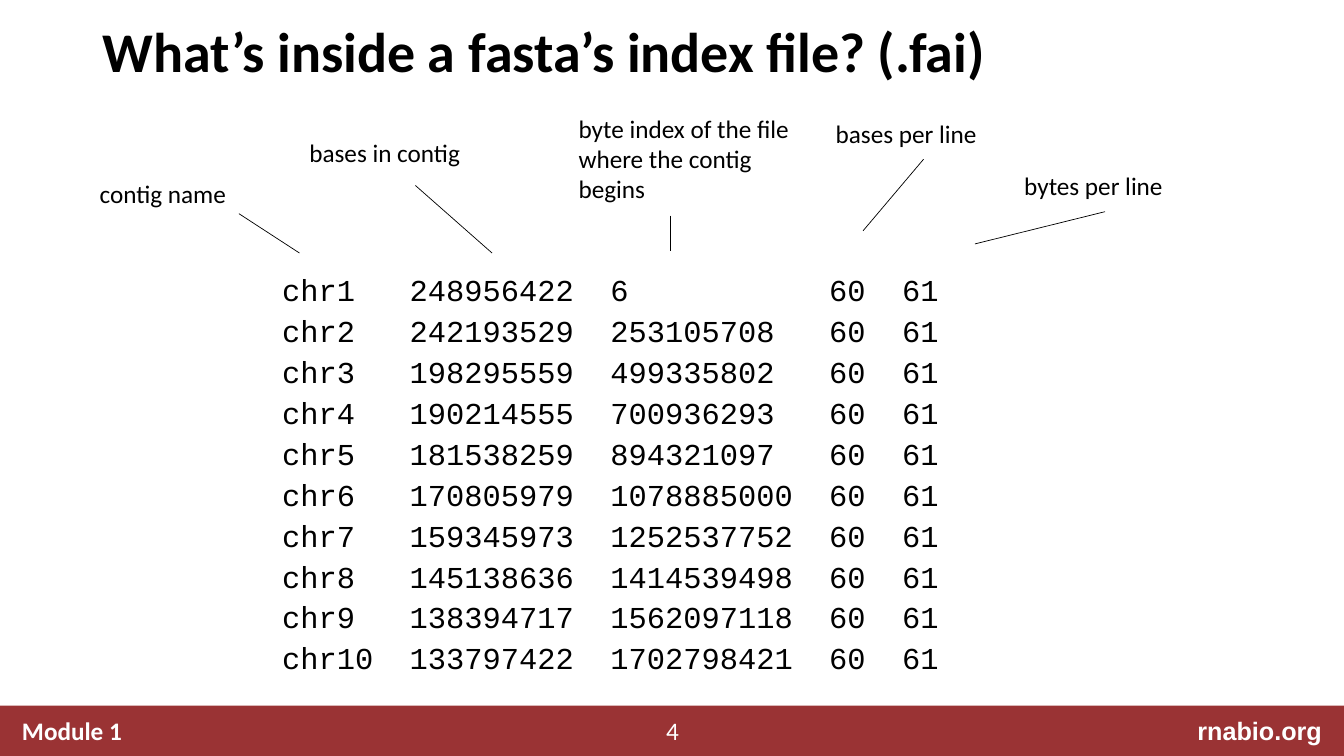
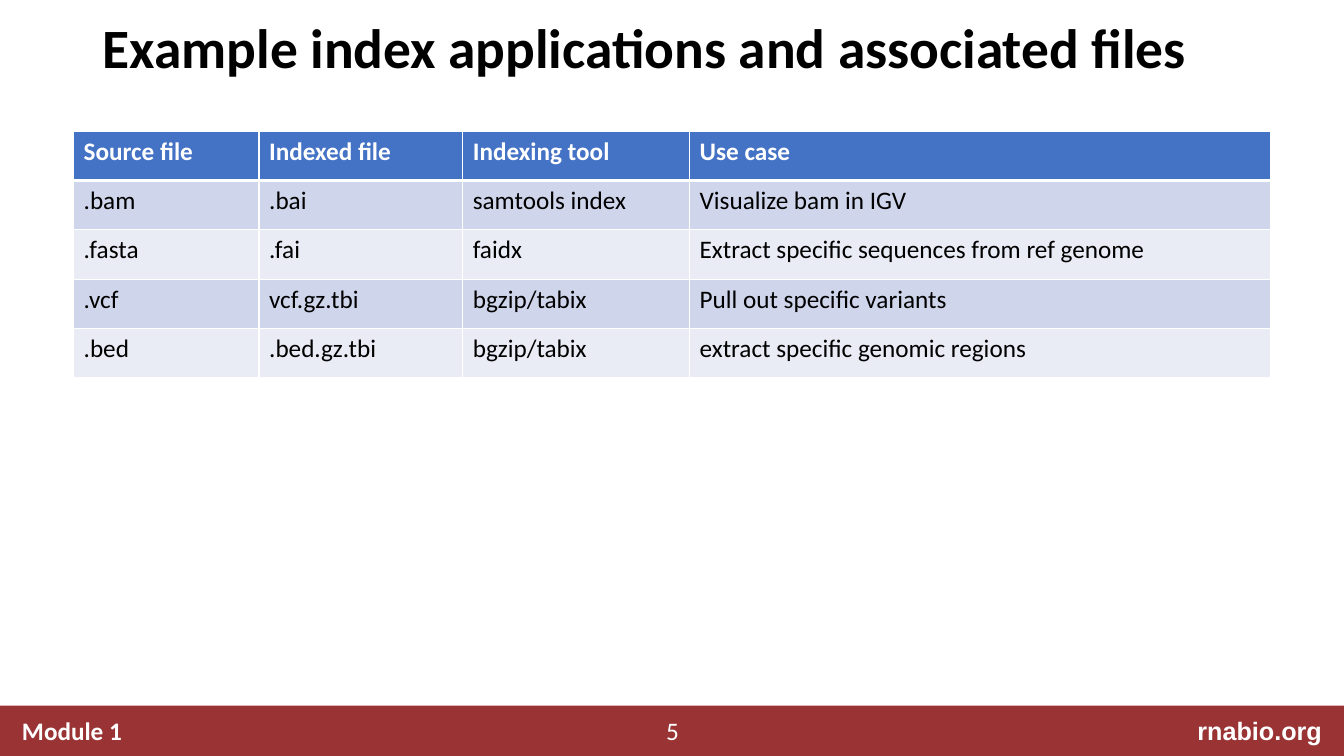
from pptx import Presentation
from pptx.dml.color import RGBColor
from pptx.enum.shapes import MSO_CONNECTOR, MSO_SHAPE
from pptx.enum.text import MSO_ANCHOR, PP_ALIGN
from pptx.oxml.ns import qn
from pptx.util import Inches, Pt
from lxml.etree import SubElement

BLACK = RGBColor(0x00, 0x00, 0x00)
WHITE = RGBColor(0xFF, 0xFF, 0xFF)
BAND_RED = RGBColor(0x9A, 0x33, 0x34)
HEADER_BLUE = RGBColor(0x44, 0x72, 0xC4)
ROW_FILLS = (RGBColor(0xCF, 0xD5, 0xEA), RGBColor(0xE9, 0xEB, 0xF5))

SANS = "Calibri"
MONO = "Courier New"
FIRST_NUMBER = 4

INDEX_SIZE = 21.7
CHARACTER_WIDTH = INDEX_SIZE * 0.6
INDEX_COLUMNS = (7, 18, 30, 34)
BASES_PER_LINE, BYTES_PER_LINE = 60, 61
CONTIGS = (
    ("chr1", 248956422, 6),
    ("chr2", 242193529, 253105708),
    ("chr3", 198295559, 499335802),
    ("chr4", 190214555, 700936293),
    ("chr5", 181538259, 894321097),
    ("chr6", 170805979, 1078885000),
    ("chr7", 159345973, 1252537752),
    ("chr8", 145138636, 1414539498),
    ("chr9", 138394717, 1562097118),
    ("chr10", 133797422, 1702798421),
)

CALLOUTS = (
    ("contig name", (0.89, 1.72, 1.77, 0.4), (2.37, 2.12), (2.97, 2.51)),
    ("bases in contig", (2.97, 1.31, 2.1, 0.4), (4.12, 1.84), (4.88, 2.51)),
    ("byte index of the file where the contig begins",
     (5.64, 1.07, 2.36, 1.01), (6.65, 2.14), (6.65, 2.49)),
    ("bases per line", (8.19, 1.12, 2.36, 0.4), (9.16, 1.58), (8.56, 2.29)),
    ("bytes per line", (10.06, 1.64, 2.36, 0.4), (10.96, 2.1), (9.67, 2.42)),
)

COLUMN_WIDTHS = (1.84, 2.02, 2.25, 5.76)
ROW_HEIGHT = 0.49
APPLICATIONS = (
    ("Source file", "Indexed file", "Indexing tool", "Use case"),
    (".bam", ".bai", "samtools index", "Visualize bam in IGV"),
    (".fasta", ".fai", "faidx", "Extract specific sequences from ref genome"),
    (".vcf", "vcf.gz.tbi", "bgzip/tabix", "Pull out specific variants"),
    (".bed", ".bed.gz.tbi", "bgzip/tabix", "extract specific genomic regions"),
)


def write_text(frame, text, *, size=18, font=SANS, color=BLACK, bold=False,
               align=PP_ALIGN.LEFT, line_spacing=None, space_before=0, tabs=()):
    for index, line in enumerate(text.split("\n")):
        paragraph = frame.add_paragraph() if index else frame.paragraphs[0]
        paragraph.alignment = align
        paragraph.line_spacing = line_spacing
        paragraph.space_before = Pt(space_before if index else 0)
        if tabs:
            add_tab_stops(paragraph, tabs)
        run = paragraph.add_run()
        run.text = line
        run.font.size = Pt(size)
        run.font.name = font
        run.font.bold = bold
        run.font.color.rgb = color


def add_tab_stops(paragraph, tabs):
    tab_list = SubElement(paragraph._p.get_or_add_pPr(), qn("a:tabLst"))
    for position in tabs:
        SubElement(tab_list, qn("a:tab"), pos=str(Pt(position)), algn="l")


def add_text(slide, text, box, anchor=MSO_ANCHOR.TOP, **style):
    frame = slide.shapes.add_textbox(*map(Inches, box)).text_frame
    frame.word_wrap = True
    frame.vertical_anchor = anchor
    write_text(frame, text, **style)


def add_line(slide, start, end):
    line = slide.shapes.add_connector(
        MSO_CONNECTOR.STRAIGHT, *map(Inches, start + end))
    line.line.color.rgb = BLACK
    line.line.width = Pt(0.5)
    SubElement(line._element.spPr, qn("a:effectLst"))


def add_footer(slide, number):
    band = slide.shapes.add_shape(
        MSO_SHAPE.RECTANGLE, *map(Inches, (0, 7, 13.33, 0.5)))
    band.shadow.inherit = False
    band.fill.solid()
    band.fill.fore_color.rgb = BAND_RED
    band.line.fill.background()
    add_text(slide, "Module 1", (0.12, 7.05, 2.76, 0.4), color=WHITE, bold=True)
    add_text(slide, "rnabio.org", (10.63, 7.05, 2.58, 0.4), font="Arial",
             color=WHITE, bold=True, align=PP_ALIGN.RIGHT)
    add_text(slide, str(number), (6.42, 7.05, 0.5, 0.4), MSO_ANCHOR.MIDDLE,
             color=WHITE, align=PP_ALIGN.CENTER)


def add_slide(presentation, title, top, height, size):
    slide = presentation.slides.add_slide(presentation.slide_layouts[6])
    add_footer(slide, FIRST_NUMBER + len(presentation.slides) - 1)
    add_text(slide, title, (0.92, top, 11.5, height), MSO_ANCHOR.MIDDLE,
             size=size, bold=True, line_spacing=0.9)
    return slide


def set_borders(cell, bottom_width):
    properties = cell._tc.get_or_add_tcPr()
    widths = {"a:lnL": 1, "a:lnR": 1, "a:lnT": 1, "a:lnB": bottom_width}
    for position, (tag, width) in enumerate(widths.items()):
        border = SubElement(properties, qn(tag), w=str(Pt(width)))
        properties.insert(position, border)
        fill = SubElement(border, qn("a:solidFill"))
        SubElement(fill, qn("a:srgbClr"), val=str(WHITE))


def add_applications_table(slide):
    box = (0.73, 1.3, sum(COLUMN_WIDTHS), ROW_HEIGHT * len(APPLICATIONS))
    table = slide.shapes.add_table(
        len(APPLICATIONS), len(COLUMN_WIDTHS), *map(Inches, box)).table
    for column, width in zip(table.columns, COLUMN_WIDTHS):
        column.width = Inches(width)
    for row, values in enumerate(APPLICATIONS):
        header = row == 0
        for column, value in enumerate(values):
            cell = table.cell(row, column)
            cell.fill.solid()
            cell.fill.fore_color.rgb = HEADER_BLUE if header else ROW_FILLS[(row - 1) % 2]
            set_borders(cell, 3 if header else 1)
            write_text(cell.text_frame, value, bold=header,
                       color=WHITE if header else BLACK)


def build_index_slide(presentation):
    slide = add_slide(presentation, "What’s inside a fasta’s index file? (.fai)",
                      0.11, 0.85, 40)
    rows = (contig + (BASES_PER_LINE, BYTES_PER_LINE) for contig in CONTIGS)
    listing = "\n".join("\t".join(map(str, row)) for row in rows)
    add_text(slide, listing, (2.7, 2.74, 7.13, 4.15), size=INDEX_SIZE, font=MONO,
             line_spacing=0.7, space_before=11,
             tabs=[column * CHARACTER_WIDTH for column in INDEX_COLUMNS])
    for label, box, start, end in CALLOUTS:
        add_text(slide, label, box)
        add_line(slide, start, end)


def build_applications_slide(presentation):
    slide = add_slide(presentation, "Example index applications and associated files",
                      0.1, 0.81, 39.6)
    add_applications_table(slide)


def main():
    presentation = Presentation()
    presentation.slide_width = Inches(13.33)
    presentation.slide_height = Inches(7.5)
    build_index_slide(presentation)
    build_applications_slide(presentation)
    presentation.save("out.pptx")


if __name__ == "__main__":
    main()
